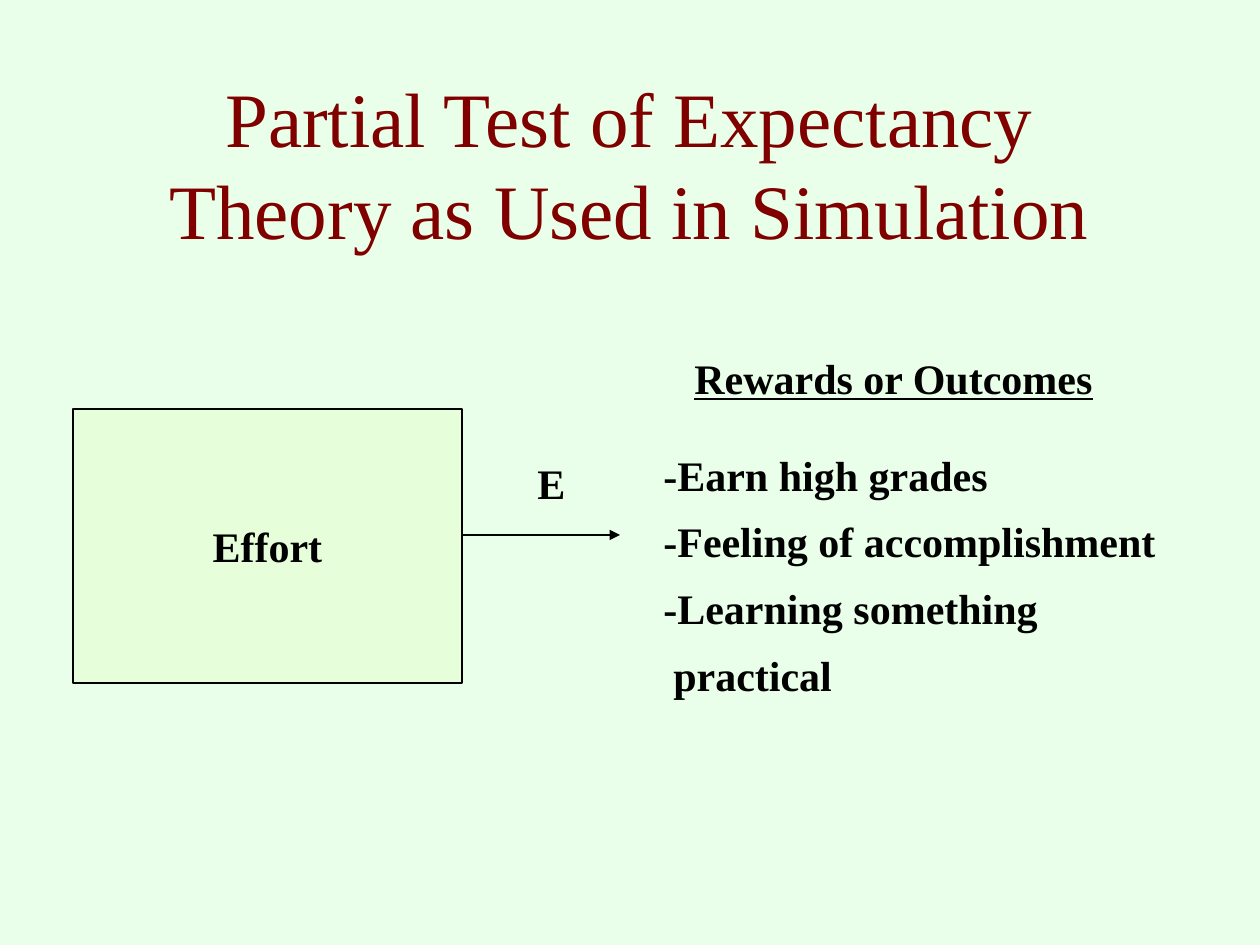
from lxml import etree
from pptx import Presentation
from pptx.dml.color import RGBColor
from pptx.enum.shapes import MSO_CONNECTOR, MSO_SHAPE
from pptx.enum.text import MSO_ANCHOR, PP_ALIGN
from pptx.oxml.ns import qn
from pptx.util import Pt

RECT, STRAIGHT = MSO_SHAPE.RECTANGLE, MSO_CONNECTOR.STRAIGHT
TOP, MIDDLE = MSO_ANCHOR.TOP, MSO_ANCHOR.MIDDLE
LEFT, CENTER = PP_ALIGN.LEFT, PP_ALIGN.CENTER

FONT = "Times New Roman"
BACKGROUND, BOX_FILL, TITLE_COLOR, BLACK = "E9FFE9", "E6FEDA", "800000", "000000"

TITLE = "Partial Test of Expectancy Theory as Used in Simulation"
EFFORT = "Effort"
EXPECTANCY = "E"
HEADING = "Rewards or Outcomes"
OUTCOMES = [
    ("-Earn high grades", 0),
    ("-Feeling of accomplishment", 0),
    ("-Learning something", 0),
    ("practical", 10),
]

TITLE_AT = (94, 84, 1071, 158)
EFFORT_AT = (73, 409, 389, 274)
EXPECTANCY_AT = (525, 451, 74, 63)
HEADING_AT = (682, 346, 525, 63)
OUTCOMES_AT = (651, 453, 525, 315)
ARROW_FROM, ARROW_TO = (462, 535), (620, 535)


def px(n):
    return round(n * 914400 / 126)


def rgb(color):
    return RGBColor.from_string(color)


def write(sp, lines, size=24, color=BLACK, bold=True, underline=False,
          align=LEFT, anchor=TOP, spacing=1.0, before=0):
    tf = sp.text_frame
    tf.word_wrap = True
    tf.vertical_anchor = anchor
    for i, (text, indent) in enumerate(lines):
        p = tf.paragraphs[0] if i == 0 else tf.add_paragraph()
        r = p.add_run()
        r.text = text
        p.alignment = align
        p.line_spacing = spacing
        p.space_before = Pt(before if i else 0)
        if indent:
            p._p.get_or_add_pPr().set("marL", str(px(indent)))
        font = p.font
        font.name, font.size = FONT, Pt(size)
        font.bold, font.underline = bold, underline
        font.color.rgb = rgb(color)


def add_text(s, at, lines, **style):
    write(s.shapes.add_textbox(*map(px, at)), lines, **style)


def add_box(s, at, text):
    sp = s.shapes.add_shape(RECT, *map(px, at))
    sp.shadow.inherit = False
    sp.fill.solid()
    sp.fill.fore_color.rgb = rgb(BOX_FILL)
    sp.line.color.rgb = rgb(BLACK)
    sp.line.width = Pt(0.75)
    write(sp, [(text, 0)], align=CENTER, anchor=MIDDLE)


def add_arrow(s, start, end):
    line = s.shapes.add_connector(STRAIGHT, *map(px, start + end))
    line.line.color.rgb = rgb(BLACK)
    line.line.width = Pt(0.75)
    etree.SubElement(line.line._get_or_add_ln(), qn("a:tailEnd"), type="triangle")
    etree.SubElement(line._element.spPr, qn("a:effectLst"))


def main():
    prs = Presentation()
    prs.slide_width, prs.slide_height = px(1260), px(945)
    s = prs.slides.add_slide(prs.slide_layouts[6])
    s.background.fill.solid()
    s.background.fill.fore_color.rgb = rgb(BACKGROUND)

    add_box(s, EFFORT_AT, EFFORT)
    add_text(s, OUTCOMES_AT, OUTCOMES, spacing=0.8, before=15)
    add_arrow(s, ARROW_FROM, ARROW_TO)
    add_text(s, TITLE_AT, [(TITLE, 0)], size=44, color=TITLE_COLOR, bold=False,
             align=CENTER, anchor=MIDDLE)
    add_text(s, EXPECTANCY_AT, [(EXPECTANCY, 0)])
    add_text(s, HEADING_AT, [(HEADING, 0)], underline=True)
    prs.save("out.pptx")


if __name__ == "__main__":
    main()
